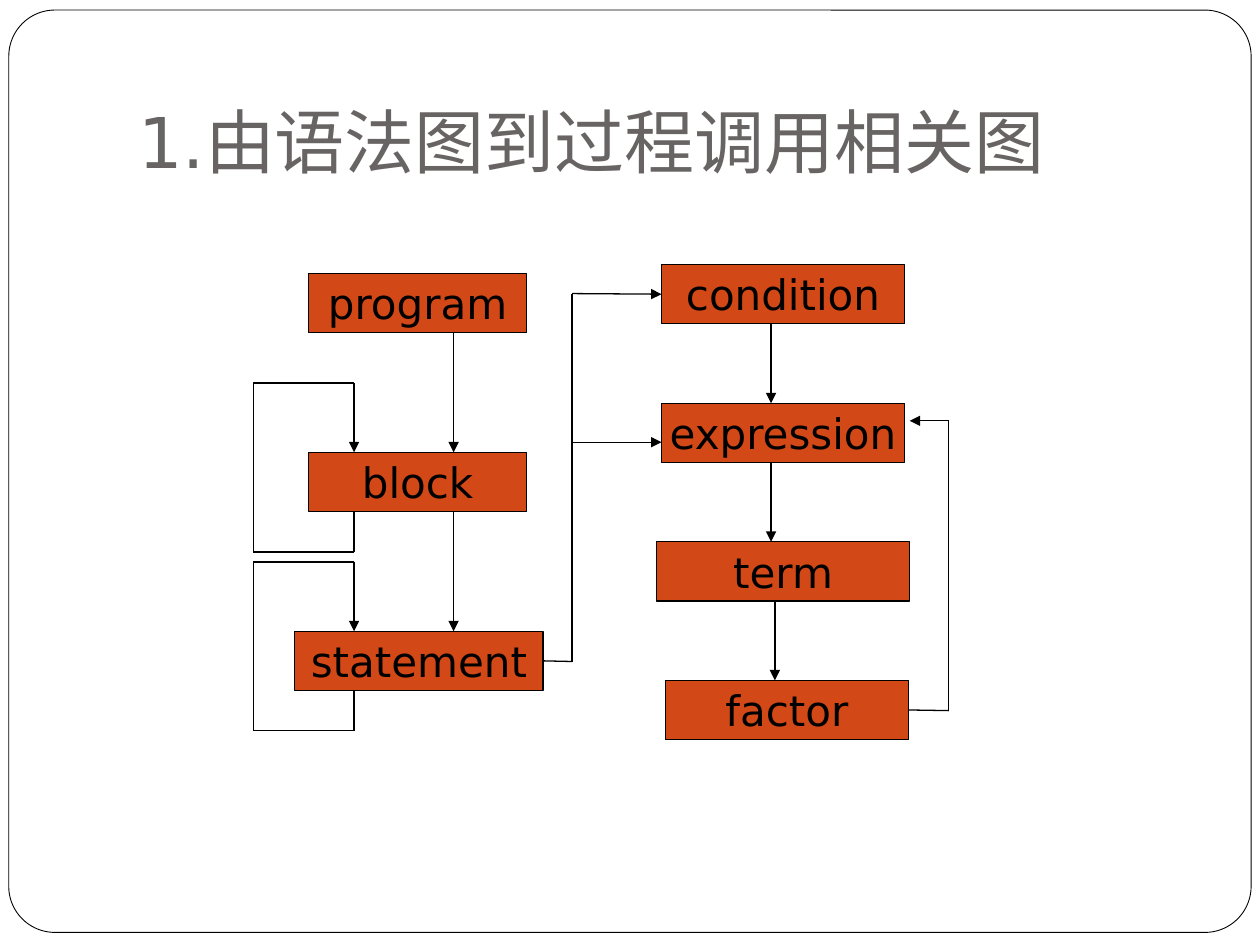
from dataclasses import dataclass

from lxml import etree
from pptx import Presentation
from pptx import util as u
from pptx.dml.color import RGBColor
from pptx.enum import shapes, text
from pptx.oxml.ns import qn


@dataclass(frozen=True)
class Theme:
    font: str = "DejaVu Sans"
    paper: RGBColor = RGBColor(0xFF, 0xFF, 0xFF)
    ink: RGBColor = RGBColor(0x00, 0x00, 0x00)
    title: RGBColor = RGBColor(0x69, 0x64, 0x64)
    box: RGBColor = RGBColor(0xD3, 0x48, 0x17)
    title_size: int = 40
    box_size: int = 24
    frame_width: float = 0.5
    line_width: float = 0.75


theme = Theme()


def add_text(shape, words, size, color):
    run = shape.text_frame.paragraphs[0].add_run()
    run.text = words
    run.font.name = theme.font
    run.font.size = u.Pt(size)
    run.font.color.rgb = color


def add_line(start, end, arrow=False):
    points = [u.Inches(value) for value in (*start, *end)]
    connector = slide.shapes.add_connector(shapes.MSO_CONNECTOR.STRAIGHT, *points)
    connector.line.color.rgb = theme.ink
    connector.line.width = u.Pt(theme.line_width)
    if arrow:
        etree.SubElement(connector.line._get_or_add_ln(), qn("a:tailEnd"), type="triangle")
    etree.SubElement(connector._element.spPr, qn("a:effectLst"))
    return connector


presentation = Presentation()
presentation.slide_width = u.Inches(10)
presentation.slide_height = u.Inches(7.5)
slide = presentation.slides.add_slide(presentation.slide_layouts[6])

frame = slide.shapes.add_shape(
    shapes.MSO_SHAPE.ROUNDED_RECTANGLE,
    u.Inches(0.07), u.Inches(0.08), u.Inches(9.86), u.Inches(7.32),
)
frame.adjustments[0] = 0.05
frame.shadow.inherit = False
frame.fill.solid()
frame.fill.fore_color.rgb = theme.paper
frame.line.color.rgb = theme.ink
frame.line.width = u.Pt(theme.frame_width)

title = slide.shapes.add_textbox(u.Inches(1), u.Inches(0.3), u.Inches(8.5), u.Inches(1.25))
title.text_frame.word_wrap = True
title.text_frame.vertical_anchor = text.MSO_ANCHOR.BOTTOM
title.text_frame.margin_bottom = u.Inches(0.1)
add_text(title, "1.由语法图到过程调用相关图", theme.title_size, theme.title)

box_height = 0.47
left_top, left_step = 2.17, 1.42
right_top, right_step = 2.1, 1.1
procedures = [
    ("program", 2.45, left_top, 1.73),
    ("block", 2.45, left_top + left_step, 1.73),
    ("statement", 2.34, left_top + 2 * left_step, 1.97),
    ("condition", 5.25, right_top, 1.93),
    ("expression", 5.25, right_top + right_step, 1.93),
    ("term", 5.21, right_top + 2 * right_step, 2.01),
    ("factor", 5.28, right_top + 3 * right_step, 1.93),
]
boxes = {}
for name, left, top, width in procedures:
    box = slide.shapes.add_shape(
        shapes.MSO_SHAPE.RECTANGLE,
        u.Inches(left), u.Inches(top), u.Inches(width), u.Inches(box_height),
    )
    box.shadow.inherit = False
    box.fill.solid()
    box.fill.fore_color.rgb = theme.box
    box.line.color.rgb = theme.ink
    box.line.width = u.Pt(theme.line_width)
    box.text_frame.word_wrap = False
    box.text_frame.vertical_anchor = text.MSO_ANCHOR.MIDDLE
    box.text_frame.paragraphs[0].alignment = text.PP_ALIGN.CENTER
    add_text(box, name, theme.box_size, theme.ink)
    boxes[name] = box

call_x, loop_right, loop_left = 3.6, 2.81, 2.01
for row in (1, 2):
    top = left_top + row * left_step
    bottom = top + box_height
    add_line((call_x, top - left_step + box_height), (call_x, top), arrow=True)

    loop_top, loop_bottom = top - 0.55, bottom + 0.32
    add_line((loop_right, bottom), (loop_right, loop_bottom))
    add_line((loop_right, loop_bottom), (loop_left, loop_bottom))
    add_line((loop_left, loop_bottom), (loop_left, loop_top))
    add_line((loop_left, loop_top), (loop_right, loop_top))
    add_line((loop_right, loop_top), (loop_right, top), arrow=True)

for row, x in enumerate((6.12, 6.12, 6.15)):
    top = right_top + row * right_step
    add_line((x, top + box_height), (x, top + right_step), arrow=True)

branch_x, statement_y, condition_y, expression_y = 4.54, 5.25, 2.33, 3.51
statement_exit = add_line((4.31, statement_y), (branch_x, statement_y))
statement_exit.begin_connect(boxes["statement"], 3)
add_line((branch_x, statement_y), (branch_x, condition_y))
condition_call = add_line((branch_x, condition_y), (5.25, condition_y), arrow=True)
condition_call.end_connect(boxes["condition"], 1)
add_line((branch_x, expression_y), (5.25, expression_y), arrow=True)

return_x, factor_y, return_y = 7.53, 5.64, 3.34
factor_exit = add_line((7.21, factor_y), (return_x, factor_y))
factor_exit.begin_connect(boxes["factor"], 3)
add_line((return_x, factor_y), (return_x, return_y))
add_line((return_x, return_y), (7.22, return_y), arrow=True)

presentation.save("out.pptx")
